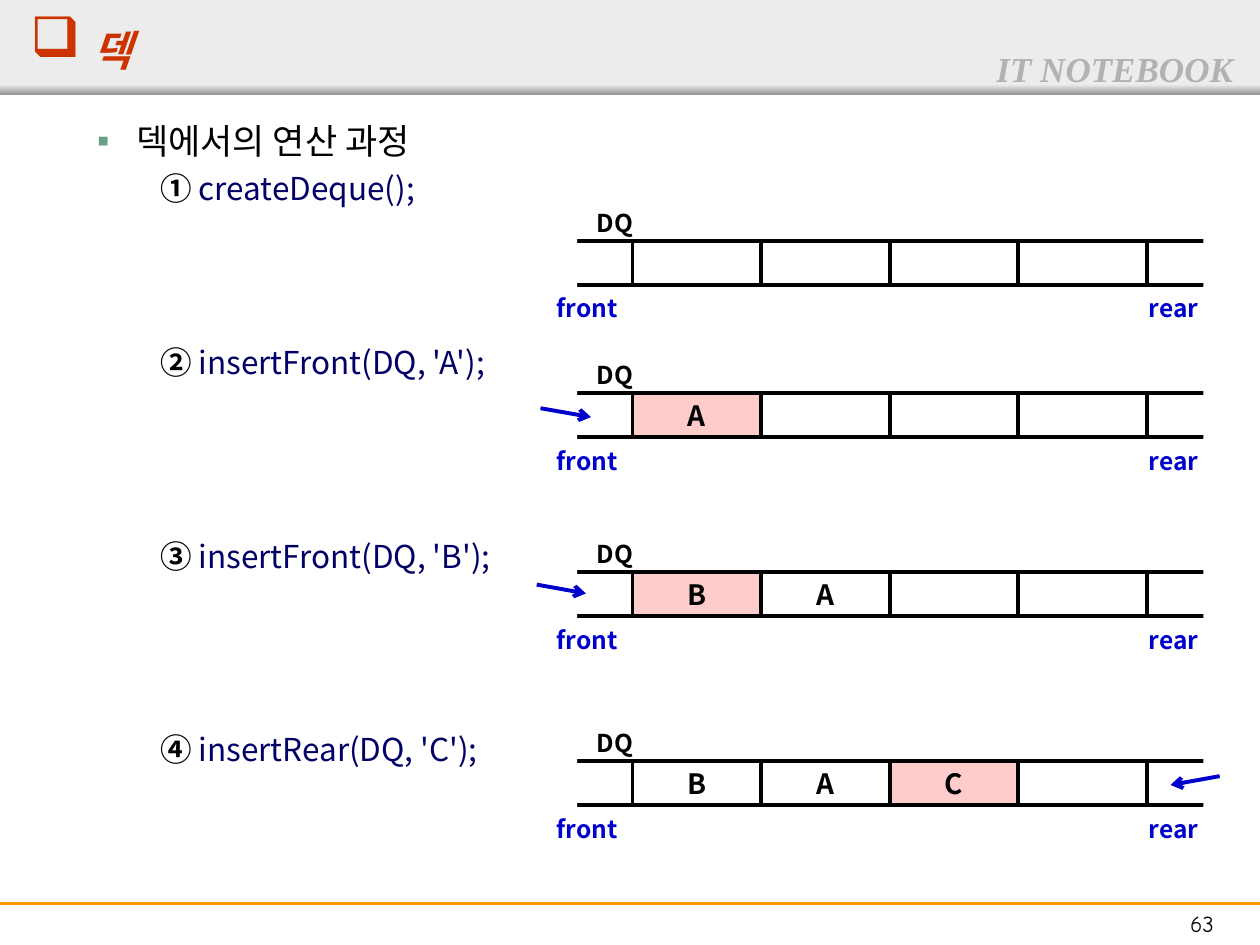
import pptx
import pptx.dml.color
import pptx.enum.shapes
import pptx.enum.text
import pptx.oxml.ns
import pptx.util
from lxml import etree

Inches = pptx.util.Inches
Pt = pptx.util.Pt
RGBColor = pptx.dml.color.RGBColor
ALIGN = pptx.enum.text.PP_ALIGN
ANCHOR = pptx.enum.text.MSO_ANCHOR
qn = pptx.oxml.ns.qn

WHITE = RGBColor(0xFF, 0xFF, 0xFF)
BLACK = RGBColor(0x00, 0x00, 0x00)
BAND = RGBColor(0xEC, 0xEC, 0xEC)
BAND_EDGE = RGBColor(0x97, 0x97, 0x97)
SERIES = RGBColor(0xB2, 0xB2, 0xB2)
ORANGE = RGBColor(0xFF, 0x99, 0x00)
RED = RGBColor(0xCC, 0x33, 0x00)
GREEN = RGBColor(0x66, 0x9E, 0x86)
NAVY = RGBColor(0x00, 0x00, 0x66)
BLUE = RGBColor(0x00, 0x00, 0xCC)
PINK = RGBColor(0xFF, 0xCC, 0xCC)

# Deque geometry in inches
CELL_LEFT, CELL_WIDTH, CELL_HEIGHT, CELL_COUNT = 5.02, 1.02, 0.35, 4
CELLS_RIGHT = CELL_LEFT + CELL_COUNT * CELL_WIDTH


class SlideBuilder:
    def __init__(self, slide, font="Noto Sans CJK KR"):
        self.slide = slide
        self.shapes = slide.shapes
        self.font = font

    def start_group(self):
        self.shapes = self.slide.shapes.add_group_shape().shapes

    def style(self, run, size, color, bold=False, italic=False, font=None):
        run.font.name = font or self.font
        run.font.size = Pt(size)
        run.font.bold = bold
        run.font.italic = italic
        run.font.color.rgb = color
        east_asian = etree.Element(qn("a:ea"), typeface=font or self.font)
        run.font._element.find(qn("a:latin")).addnext(east_asian)

    def frame(self, shape, top=0.05):
        text_frame = shape.text_frame
        text_frame.margin_left = text_frame.margin_right = Inches(0.1)
        text_frame.margin_top, text_frame.margin_bottom = Inches(top), Inches(0.05)
        text_frame.auto_size = pptx.enum.text.MSO_AUTO_SIZE.NONE
        text_frame.vertical_anchor = ANCHOR.TOP
        return text_frame

    def place(self, shape, left, top, width, height):
        shape.left, shape.top = Inches(left), Inches(top)
        shape.width, shape.height = Inches(width), Inches(height)

    def bullet(self, paragraph, char=None, color=None, margin=0, indent=0):
        properties = paragraph._p.get_or_add_pPr()
        properties.set("marL", str(Inches(margin)))
        properties.set("indent", str(Inches(indent)))
        if char is None:
            etree.SubElement(properties, qn("a:buNone"))
            return
        bullet_color = etree.SubElement(properties, qn("a:buClr"))
        etree.SubElement(bullet_color, qn("a:srgbClr"), val=str(color))
        etree.SubElement(properties, qn("a:buChar"), char=char)

    def box(self, left, top, width, height, fill=WHITE, line=None, text=""):
        shape = self.shapes.add_shape(
            pptx.enum.shapes.MSO_SHAPE.RECTANGLE,
            Inches(left), Inches(top), Inches(width), Inches(height))
        shape.shadow.inherit = False
        shape.fill.solid()
        shape.fill.fore_color.rgb = fill
        if line is None:
            shape.line.fill.background()
        else:
            shape.line.color.rgb = line
            shape.line.width = Pt(2.25)
        if text:
            text_frame = self.frame(shape)
            text_frame.vertical_anchor = ANCHOR.MIDDLE
            text_frame.text = text
            paragraph = text_frame.paragraphs[0]
            paragraph.alignment = ALIGN.CENTER
            self.style(paragraph.runs[0], 16, BLACK, bold=True)
        return shape

    def label(self, text, left, top, width, height, size=14, color=BLUE,
              align=ALIGN.LEFT, wrap=False, bold=True, italic=False, font=None):
        shape = self.shapes.add_textbox(
            Inches(left), Inches(top), Inches(width), Inches(height))
        text_frame = self.frame(shape)
        text_frame.word_wrap = wrap
        text_frame.text = text
        paragraph = text_frame.paragraphs[0]
        paragraph.alignment = align
        self.style(paragraph.runs[0], size, color, bold, italic, font)

    def line(self, start, end, color, width, arrow=False):
        connector = self.shapes.add_connector(
            pptx.enum.shapes.MSO_CONNECTOR.STRAIGHT,
            *(Inches(value) for value in start + end))
        connector.line.color.rgb = color
        connector.line.width = Pt(width)
        if arrow:
            etree.SubElement(connector.line._get_or_add_ln(), qn("a:tailEnd"), type="arrow")
        etree.SubElement(connector._element.spPr, qn("a:effectLst"))

    def header_and_footer(self, series, number):
        band = self.box(0, 0, 10, 0.75, BAND)
        edge = self.box(0, 0.67, 10, 0.08)
        edge.fill.gradient()
        edge.fill.gradient_angle = 270
        for stop, position, color in zip(edge.fill.gradient_stops, (0, 1), (BAND, BAND_EDGE)):
            stop.position = position
            stop.color.rgb = color
        # The band lies behind the title
        for shape in (band, edge):
            self.slide.shapes.title.element.addprevious(shape.element)
        self.line((0, 7.17), (10, 7.17), ORANGE, 1.5)
        self.label(series, 7.81, 0.33, 2.19, 0.44, 20, SERIES,
                   italic=True, font="Times New Roman")
        self.label(number, 9.08, 7.17, 0.92, 0.32, 13, BLACK, ALIGN.CENTER,
                   wrap=True, bold=False, font="Comic Neue")

    def title(self, text):
        shape = self.slide.shapes.title
        self.place(shape, 0.14, 0.14, 9, 0.46)
        paragraph = self.frame(shape, top=0).paragraphs[0]
        paragraph.alignment = ALIGN.LEFT
        paragraph.line_spacing = 0.9
        self.bullet(paragraph, "❑", RED)
        for part, size in ((" ", 32), (text, 24)):
            run = paragraph.add_run()
            run.text = part
            self.style(run, size, RED, bold=True, italic=True)

    def body(self, heading, steps):
        shape = self.slide.placeholders[1]
        self.place(shape, 0.17, 0.9, 9.45, 6.16)
        text_frame = self.frame(shape)
        text_frame.text = heading
        paragraph = text_frame.paragraphs[0]
        paragraph.level = 1
        paragraph.space_before = Pt(0)
        self.bullet(paragraph, "▪", GREEN, 0.81, -0.31)
        self.style(paragraph.runs[0], 20, BLACK)
        for number, call, space in steps:
            paragraph = text_frame.add_paragraph()
            paragraph.level = 2
            paragraph.space_before = Pt(space)
            self.bullet(paragraph, margin=1.25, indent=-0.25)
            for part, color, bold in ((number + " ", BLACK, True), (call, NAVY, False)):
                run = paragraph.add_run()
                run.text = part
                self.style(run, 18, color, bold)

    def deque(self, top, items, new_item, arrow):
        self.start_group()
        # Open-ended cells on both sides, full cells between them
        self.box(4.53, top, CELL_LEFT - 4.53, CELL_HEIGHT, line=BLACK)
        self.box(CELLS_RIGHT, top, 0.47, CELL_HEIGHT, line=BLACK)
        for index, item in enumerate(items.ljust(CELL_COUNT)):
            fill = PINK if item == new_item else WHITE
            self.box(CELL_LEFT + index * CELL_WIDTH, top, CELL_WIDTH, CELL_HEIGHT,
                     fill, BLACK, item.strip())
        for left, width in ((4.34, 0.24), (9.55, 0.17)):
            self.box(left, top - 0.06, width, 0.47)
        # Names
        self.label("front", 4.32, top + 0.37, 0.75, 0.34)
        self.label("rear", 9.02, top + 0.37, 0.61, 0.34)
        self.label("DQ", 4.44, top - 0.31, 0.88, 0.34, color=BLACK,
                   align=ALIGN.CENTER, wrap=True)
        if arrow:
            self.line(*arrow, BLUE, 2.25, arrow=True)


def main():
    presentation = pptx.Presentation()
    presentation.slide_width, presentation.slide_height = Inches(10), Inches(7.5)
    slide = presentation.slides.add_slide(presentation.slide_layouts[1])
    builder = SlideBuilder(slide)

    builder.header_and_footer("IT NOTEBOOK", "63")
    builder.title("덱")
    builder.body("덱에서의 연산 과정", [
        ("①", "createDeque();", 4),
        ("②", "insertFront(DQ, 'A');", 78),
        ("③", "insertFront(DQ, 'B');", 89),
        ("④", "insertRear(DQ, 'C');", 89),
    ])

    # Deque after each operation: top, items, new item, arrow
    for state in (
        (1.91, "", None, None),
        (3.12, "A", "A", ((4.29, 3.24), (4.69, 3.31))),
        (4.54, "BA", "B", ((4.26, 4.64), (4.65, 4.71))),
        (6.04, "BAC", "C", ((9.68, 6.16), (9.29, 6.23))),
    ):
        builder.deque(*state)

    presentation.save("out.pptx")


if __name__ == "__main__":
    main()
